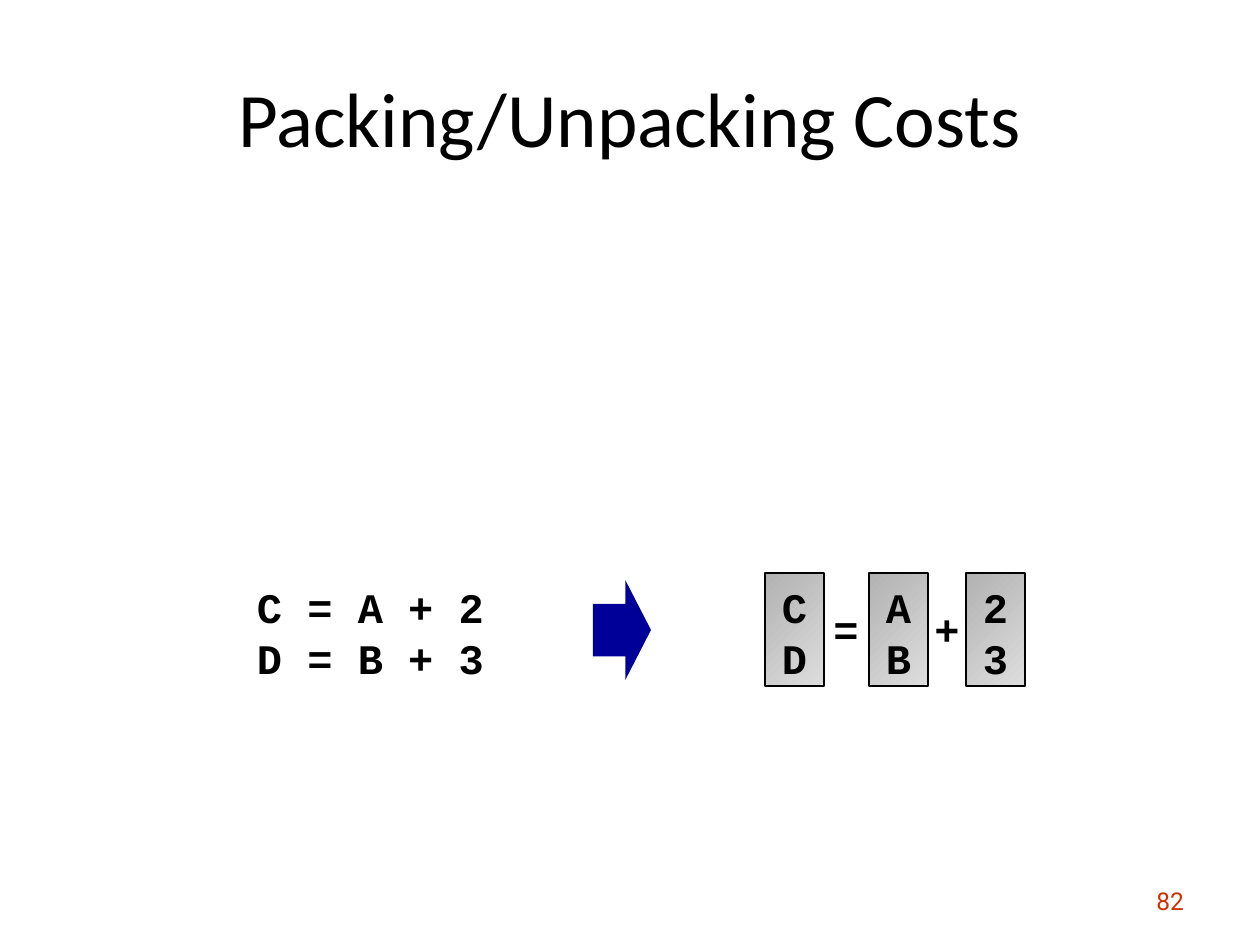
from dataclasses import dataclass

from pptx import Presentation
from pptx.dml.color import RGBColor
from pptx.enum.shapes import MSO_SHAPE
from pptx.enum.text import MSO_ANCHOR, PP_ALIGN
from pptx.util import Emu, Pt

RECT, ARROW = MSO_SHAPE.RECTANGLE, MSO_SHAPE.DOWN_ARROW
TOP, MIDDLE = MSO_ANCHOR.TOP, MSO_ANCHOR.MIDDLE
LEFT, CENTER, RIGHT = PP_ALIGN.LEFT, PP_ALIGN.CENTER, PP_ALIGN.RIGHT


@dataclass(frozen=True)
class Theme:
    ink: str = "000000"
    arrow: str = "000099"
    number: str = "CC3300"
    dark: str = "B2B2B2"
    light: str = "DDDDDD"
    head: str = "Calibri"
    code: str = "Courier New"
    small: str = "Roboto"
    head_size: int = 44
    code_size: int = 24
    small_size: int = 14
    code_line: int = 29


THEME = Theme()


def px(n):
    return Emu(round(n * 914400 / 126))


def place(x, y, w, h):
    return px(x), px(y), px(w), px(h)


def rgb(code):
    return RGBColor.from_string(code)


def write(shape, text, font=THEME.code, size=THEME.code_size, color=THEME.ink,
          bold=False, align=LEFT, anchor=TOP, pad=(13, 6, 13, 6),
          line=None, wrap=True):
    """Fill a shape with text, one paragraph for each line."""
    frame = shape.text_frame
    frame.text = text
    frame.word_wrap = wrap
    frame.vertical_anchor = anchor
    (frame.margin_left, frame.margin_top,
     frame.margin_right, frame.margin_bottom) = map(px, pad)
    for para in frame.paragraphs:
        para.alignment = align
        if line:
            para.line_spacing = Pt(line)
        para.font.name, para.font.size = font, Pt(size)
        para.font.bold = bold
        para.font.color.rgb = rgb(color)


def code(shape, text, **style):
    write(shape, text, bold=True, line=THEME.code_line, **style)


def header(slide, box):
    title = slide.shapes.title
    title.left, title.top, title.width, title.height = place(*box)
    write(title, "Packing/Unpacking Costs", font=THEME.head,
          size=THEME.head_size, align=CENTER, anchor=MIDDLE)


def scalar(slide, box):
    text = slide.shapes.add_textbox(*place(*box))
    code(text, "C = A + 2\nD = B + 3", pad=(13, 5, 0, 0))


def arrow(slide, box):
    # The box is the one before the quarter turn
    shape = slide.shapes.add_shape(ARROW, *place(*box))
    shape.rotation = 270
    shape.adjustments[0], shape.adjustments[1] = 0.525, 0.443
    shape.shadow.inherit = False
    shape.fill.solid()
    shape.fill.fore_color.rgb = rgb(THEME.arrow)
    shape.line.fill.background()


def vector(slide, box):
    x, y, w, h = box
    group = slide.shapes.add_group_shape().shapes
    # Packed registers
    wide = 59
    for dx, text in ((0, "C\nD"), (104, "A\nB"), (w - wide, "2\n3")):
        cell = group.add_shape(RECT, *place(x + dx, y, wide, h))
        cell.shadow.inherit = False
        cell.fill.gradient()
        cell.fill.gradient_angle = 315
        for stop, color in zip(cell.fill.gradient_stops,
                               (THEME.dark, THEME.light)):
            stop.color.rgb = rgb(color)
        cell.line.color.rgb = rgb(THEME.ink)
        cell.line.width = Pt(1)
        code(cell, text, align=CENTER, pad=(0, 8, 0, 0))
    # Operators between them
    for dx, sign in ((65, "="), (166, "+")):
        text = group.add_textbox(*place(x + dx, y + 25, 32, 63))
        code(text, sign, align=CENTER, pad=(0, 5, 0, 0))


def number(slide, box):
    text = slide.shapes.add_textbox(*place(*box))
    write(text, "82", font=THEME.small, size=THEME.small_size,
          color=THEME.number, align=RIGHT, anchor=MIDDLE)


def main():
    deck = Presentation()
    deck.slide_width, deck.slide_height = px(1260), px(945)
    slide = deck.slides.add_slide(deck.slide_layouts[5])
    header(slide, (63, 38, 1134, 158))
    scalar(slide, (244, 576, 252, 113))
    arrow(slide, (572, 601, 100, 58))
    vector(slide, (765, 573, 260, 113))
    number(slide, (903, 876, 294, 50))
    deck.save("out.pptx")


if __name__ == "__main__":
    main()
